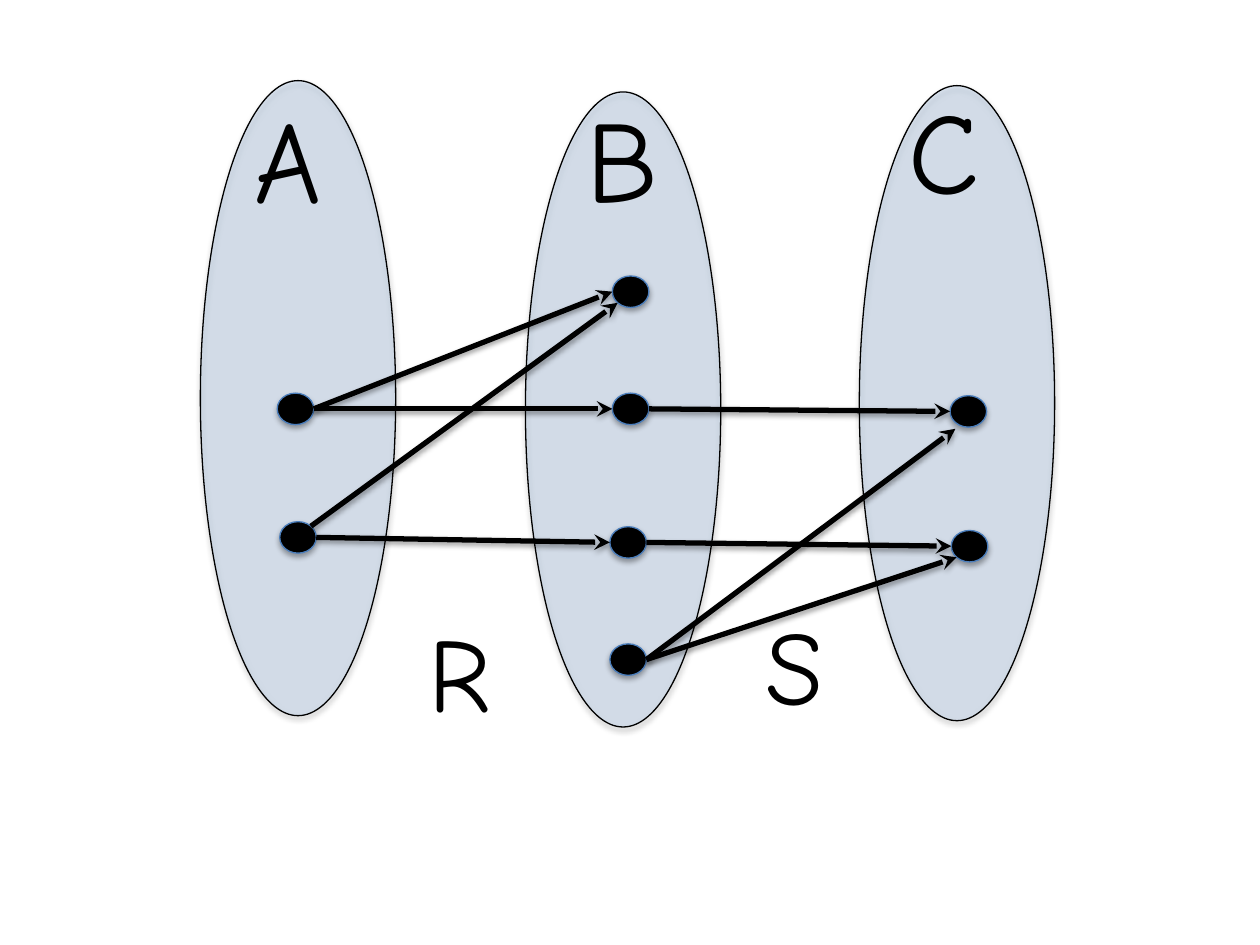
from math import sqrt
from lxml import etree
from pptx import Presentation
from pptx import util as u
from pptx.dml.color import RGBColor
from pptx.enum import shapes, text
from pptx.oxml import parse_xml
from pptx.oxml.ns import nsdecls, qn


def rgb(value):
    return RGBColor.from_string(value)


class Diagram:
    FONT = "Comic Neue"
    INK, SET_FILL, DOT_LINE = "000000", "8EB4E3", "4B7EBC"
    COLS, ROWS = 100, 75
    SET_SIZE = (15.5, 50.4)
    DOT_SIZE = (2.9, 2.5)

    def __init__(self, prs):
        self.cell_w = prs.slide_width / self.COLS
        self.cell_h = prs.slide_height / self.ROWS
        self.s = prs.slides.add_slide(prs.slide_layouts[6])

    def x(self, cols):
        return u.Emu(round(cols * self.cell_w))

    def y(self, rows):
        return u.Emu(round(rows * self.cell_h))

    def shadow(self, sp, opacity, distance):
        sp._element.spPr.append(parse_xml(
            f'<a:effectLst {nsdecls("a")}>'
            f'<a:outerShdw blurRad="{u.Pt(3.15)}" dist="{u.Pt(distance)}" dir="5400000" rotWithShape="0">'
            f'<a:srgbClr val="{self.INK}"><a:alpha val="{opacity * 1000}"/></a:srgbClr>'
            '</a:outerShdw></a:effectLst>'))

    def ellipse(self, left, top, size, fill, line, opacity=100):
        w, h = size
        sp = self.s.shapes.add_shape(shapes.MSO_SHAPE.OVAL, self.x(left), self.y(top),
                                     self.x(w), self.y(h))
        sp.fill.solid()
        sp.fill.fore_color.rgb = rgb(fill)
        if opacity < 100:
            color = sp._element.spPr.find(".//" + qn("a:srgbClr"))
            etree.SubElement(color, qn("a:alpha"), val=str(opacity * 1000))
        sp.line.color.rgb = rgb(line)
        sp.line.width = u.Pt(0.75)
        self.shadow(sp, 35, 1.8)

    def set_oval(self, left, top):
        self.ellipse(left, top, self.SET_SIZE, self.SET_FILL, self.INK, 25)

    def dot(self, left, top):
        self.ellipse(left, top, self.DOT_SIZE, self.INK, self.DOT_LINE)

    def label(self, value, left, top, width, height, size):
        sp = self.s.shapes.add_textbox(self.x(left), self.y(top), self.x(width), self.y(height))
        tf = sp.text_frame
        tf.word_wrap = False
        tf.auto_size = text.MSO_AUTO_SIZE.SHAPE_TO_FIT_TEXT
        r = tf.paragraphs[0].add_run()
        r.text = value
        r.font.name = self.FONT
        r.font.size = u.Pt(size)
        r.font.color.rgb = rgb(self.INK)

    def rim(self, dot, side):
        w, h = self.DOT_SIZE
        dx, dy = side
        reach = sqrt(dx * dx + dy * dy)
        return dot[0] + w / 2 * (1 + dx / reach), dot[1] + h / 2 * (1 + dy / reach)

    def arrow(self, start, start_side, end, end_side, gap=0):
        x1, y1 = self.rim(start, start_side)
        x2, y2 = self.rim(end, end_side)
        c = self.s.shapes.add_connector(shapes.MSO_CONNECTOR.STRAIGHT, self.x(x1), self.y(y1),
                                        self.x(x2), self.y(y2 + gap))
        c.line.color.rgb = rgb(self.INK)
        c.line.width = u.Pt(3)
        etree.SubElement(c.line._get_or_add_ln(), qn("a:tailEnd"), type="stealth")
        self.shadow(c, 38, 1.6)


def main():
    prs = Presentation()
    prs.slide_width, prs.slide_height = u.Inches(10), u.Inches(7.5)
    d = Diagram(prs)

    for left, top in ((41.7, 7.3), (68.2, 6.8), (15.9, 6.4)):
        d.set_oval(left, top)

    dots = {
        "a1": (22, 31.2), "a2": (22.2, 41.4),
        "b1": (48.6, 21.9), "b2": (48.6, 31.2), "b3": (48.4, 41.8), "b4": (48.4, 51.1),
        "c1": (75.4, 31.4), "c2": (75.5, 42.1),
    }
    for left, top in dots.values():
        d.dot(left, top)

    for value, left, top, width in (("A", 19.2, 6.5, 8.8), ("B", 45.6, 6.4, 7.9), ("C", 71.1, 5.8, 7.6)):
        d.label(value, left, top, width, 12.1, 66)

    east, west, north_east, south_west = (1, 0), (-1, 0), (1, -1), (-1, 1)
    for start, end in (("a1", "b2"), ("a2", "b3"), ("b2", "c1"), ("b3", "c2"), ("a1", "b1")):
        d.arrow(dots[start], east, dots[end], west)
    d.arrow(dots["b4"], east, dots["c2"], south_west)
    d.arrow(dots["b4"], east, dots["c1"], south_west, gap=0.5)
    d.arrow(dots["a2"], north_east, dots["b1"], south_west)

    for value, left, top, width in (("R", 33, 47.7, 7.3), ("S", 59.8, 47.2, 7.9)):
        d.label(value, left, top, width, 11.1, 60)

    prs.save("out.pptx")


if __name__ == "__main__":
    main()
